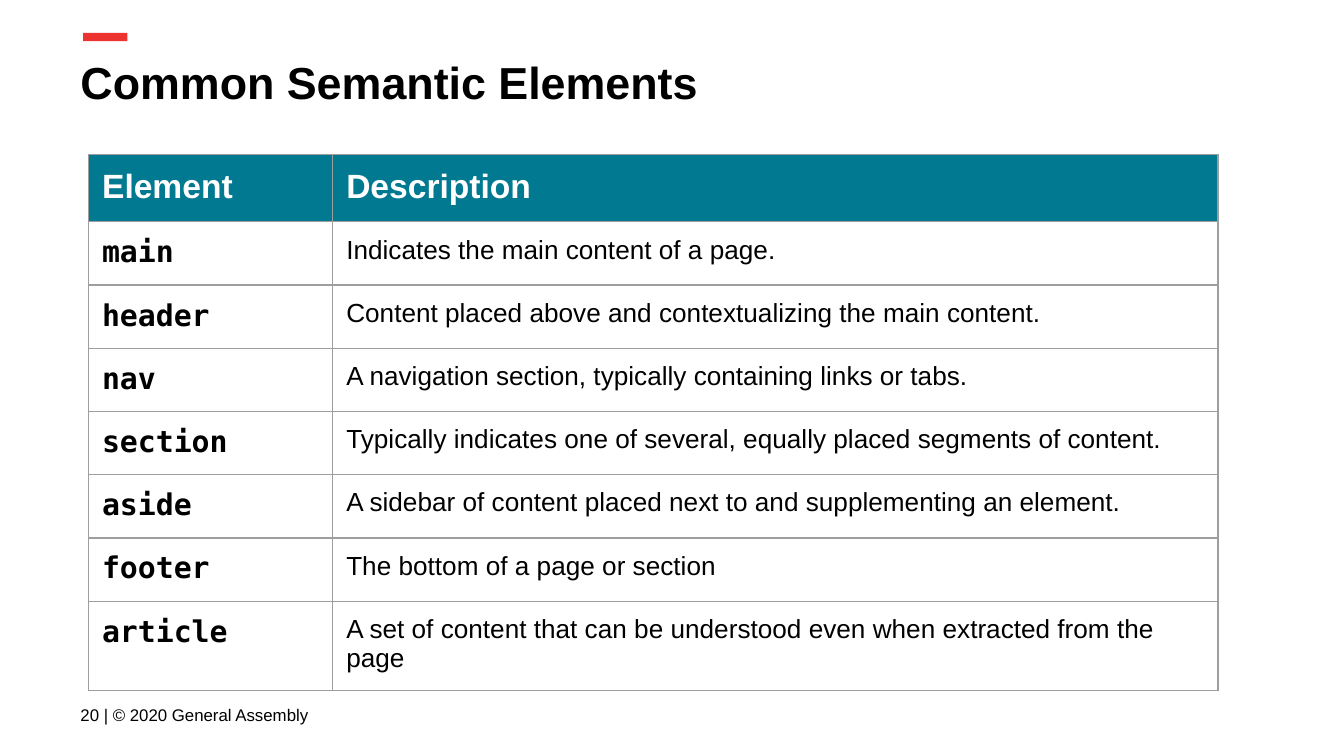
from lxml.etree import SubElement
from pptx import Presentation
from pptx.dml.color import RGBColor
from pptx.enum.shapes import MSO_SHAPE
from pptx.enum.text import MSO_ANCHOR as Anchor
from pptx.oxml.ns import qn
from pptx.util import Pt

COLORS = {
    "accent": "ED332F",
    "header": "017991",
    "border": "9E9E9E",
    "white": "FFFFFF",
    "black": "000000",
}
SANS, MONO = "Arial", "DejaVu Sans Mono"
INSET = Pt(7.2)

ELEMENTS = [
    ("main", "Indicates the main content of a page."),
    ("header", "Content placed above and contextualizing the main content."),
    ("nav", "A navigation section, typically containing links or tabs."),
    ("section", "Typically indicates one of several, equally placed segments of content."),
    ("aside", "A sidebar of content placed next to and supplementing an element."),
    ("footer", "The bottom of a page or section"),
    ("article", "A set of content that can be understood even when extracted from the page"),
]


def write_text(frame, text, size, font=SANS, color="black", bold=False):
    frame.word_wrap = True
    paragraph = frame.paragraphs[0]
    run = paragraph.add_run()
    run.text = text
    run.font.name = font
    run.font.size = Pt(size)
    run.font.bold = bold
    run.font.color.rgb = RGBColor.from_string(COLORS[color])


def format_cell(cell, fill, opacity=100):
    cell.margin_left = cell.margin_right = INSET
    cell.margin_top = cell.margin_bottom = INSET
    properties = cell._tc.get_or_add_tcPr()
    for side in ("lnL", "lnR", "lnT", "lnB"):
        line = SubElement(properties, qn(f"a:{side}"), w=str(Pt(0.75)))
        solid = SubElement(line, qn("a:solidFill"))
        SubElement(solid, qn("a:srgbClr"), val=COLORS["border"])
    cell.fill.solid()
    cell.fill.fore_color.rgb = RGBColor.from_string(COLORS[fill])
    if opacity < 100:
        color = properties.find(qn("a:solidFill")).find(qn("a:srgbClr"))
        SubElement(color, qn("a:alpha"), val=str(opacity * 1000))


presentation = Presentation()
presentation.slide_width = Pt(720)
presentation.slide_height = Pt(405)
slide = presentation.slides.add_slide(presentation.slide_layouts[6])

# Accent bar
bar = slide.shapes.add_shape(MSO_SHAPE.RECTANGLE, Pt(44.5), Pt(17.6), Pt(23.8), Pt(4.5))
bar.shadow.inherit = False
bar.fill.solid()
bar.fill.fore_color.rgb = RGBColor.from_string(COLORS["accent"])
bar.line.fill.background()

# Title and footer
for text, top, width, height, size, bold, anchor in [
    ("Common Semantic Elements", 22.3, 671, 45.4, 24, True, Anchor.TOP),
    ("20 | © 2020 General Assembly", 367.2, 186.5, 31, 9, False, Anchor.MIDDLE),
]:
    box = slide.shapes.add_textbox(Pt(36), Pt(top), Pt(width), Pt(height))
    frame = box.text_frame
    frame.margin_left = frame.margin_right = INSET
    frame.margin_top = frame.margin_bottom = INSET
    frame.vertical_anchor = anchor
    write_text(frame, text, size, bold=bold)

# Table of elements
table = slide.shapes.add_table(
    len(ELEMENTS) + 1, 2, Pt(47.5), Pt(82.8), Pt(605), Pt(265)
).table
table.horz_banding = False
for column, width in zip(table.columns, (130.8, 474.2)):
    column.width = Pt(width)
for index, row in enumerate(table.rows):
    row.height = Pt(33.9 if index else 27.4)

for cell, heading in zip(table.rows[0].cells, ("Element", "Description")):
    format_cell(cell, "header")
    write_text(cell.text_frame, heading, 18, color="white", bold=True)

for index, (element, description) in enumerate(ELEMENTS, start=1):
    name_cell, description_cell = table.rows[index].cells
    format_cell(name_cell, "white", opacity=51)
    format_cell(description_cell, "white", opacity=51)
    write_text(name_cell.text_frame, element, 16, font=MONO, bold=True)
    write_text(description_cell.text_frame, description, 14)

presentation.save("out.pptx")
